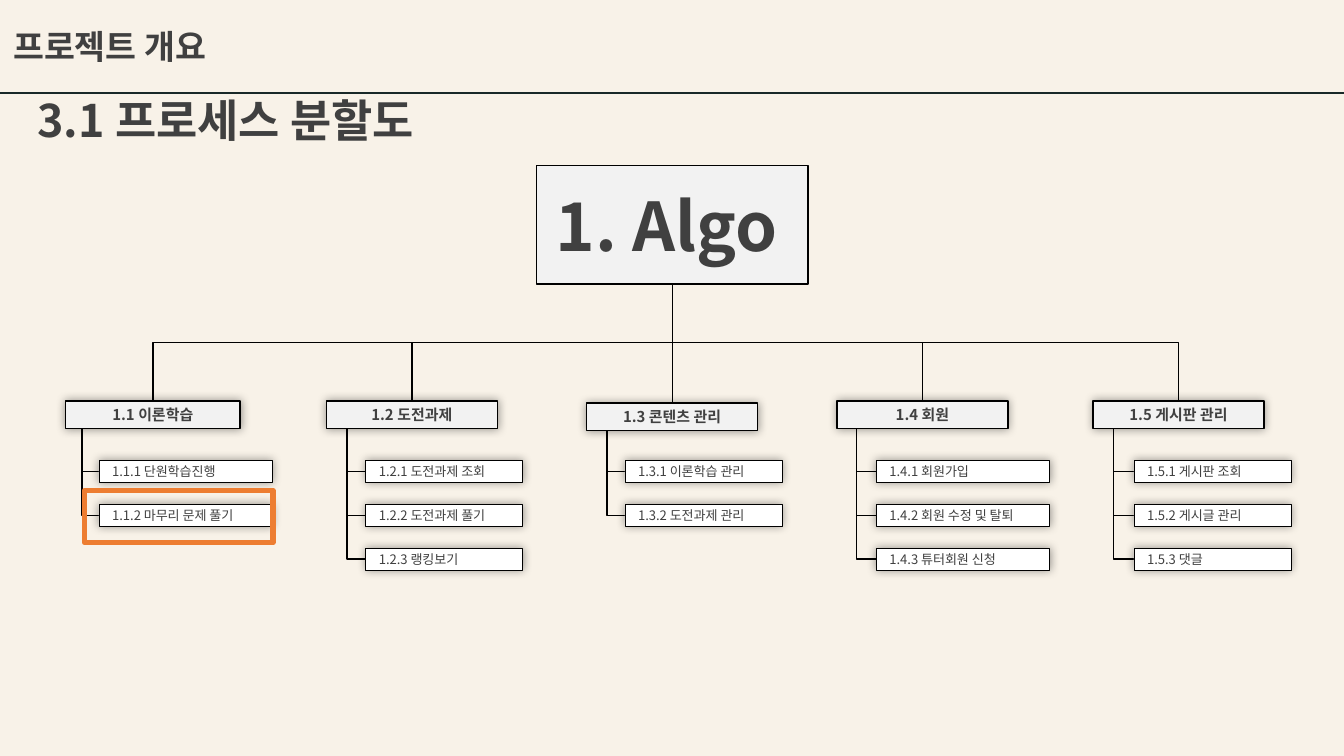
from lxml.etree import SubElement
from pptx import Presentation
from pptx.dml.color import RGBColor
from pptx.enum.shapes import MSO_CONNECTOR, MSO_SHAPE
from pptx.enum.text import MSO_ANCHOR, PP_ALIGN
from pptx.oxml.ns import qn
from pptx.util import Cm, Pt

INK, CREAM, GREY, WHITE, BLACK = "404040", "F8F2E8", "F2F2F2", "FFFFFF", "000000"
ROOT = (10.14, 3.13, 5.13, 2.24)
HEADING_HEIGHT, TASK_TOP, TASK_HEIGHT, TASK_PITCH = 0.52, 8.7, 0.42, 0.83
BRANCHES = [
    ("1.1 이론학습", (1.24, 7.58, 3.3), 1.55, (1.87, 3.28),
     ["1.1.1 단원학습진행", "1.1.2 마무리 문제 풀기"]),
    ("1.2 도전과제", (6.17, 7.58, 3.23), 6.56, (6.91, 2.97),
     ["1.2.1 도전과제 조회", "1.2.2 도전과제 풀기", "1.2.3 랭킹보기"]),
    ("1.3 콘텐츠 관리", (11.09, 7.62, 3.23), 11.47, (11.81, 2.97),
     ["1.3.1 이론학습 관리", "1.3.2 도전과제 관리"]),
    ("1.4 회원", (15.82, 7.58, 3.23), 16.19, (16.56, 3.28),
     ["1.4.1 회원가입", "1.4.2 회원 수정 및 탈퇴", "1.4.3 튜터회원 신청"]),
    ("1.5 게시판 관리", (20.66, 7.58, 3.23), 21.04, (21.43, 2.97),
     ["1.5.1 게시판 조회", "1.5.2 게시글 관리", "1.5.3 댓글"]),
]


def color(value):
    return RGBColor.from_string(value)


class ProcessChart:
    """Draws the parts of a process breakdown on one slide in one style."""

    font_name = "Noto Sans CJK KR"

    def __init__(self, slide):
        self.slide = slide
        slide.background.fill.solid()
        slide.background.fill.fore_color.rgb = color(CREAM)

    def wording(self, frame, words, size, bold=False, align=PP_ALIGN.LEFT, **layout):
        for key, value in layout.items():
            setattr(frame, key, value)
        paragraph = frame.paragraphs[0]
        paragraph.alignment = align
        run = paragraph.add_run()
        run.text = words
        for key, value in {"name": self.font_name, "size": Pt(size), "bold": bold}.items():
            setattr(run.font, key, value)
        run.font.color.rgb = color(INK)
        SubElement(run.font._element, qn("a:ea"), typeface=self.font_name)

    def box(self, place, fill=None, line=None, width=0.75, glow=False):
        box = self.slide.shapes.add_shape(MSO_SHAPE.RECTANGLE, *map(Cm, place))
        box.shadow.inherit = False
        if fill:
            box.fill.solid()
            box.fill.fore_color.rgb = color(fill)
        else:
            box.fill.background()
        if line:
            box.line.color.rgb = color(line)
            box.line.width = Pt(width)
        else:
            box.line.fill.background()
        if glow:
            effects = box._element.spPr.find(qn("a:effectLst"))
            shadow = SubElement(effects, qn("a:outerShdw"), blurRad=str(Pt(5)),
                                dist="0", dir="0", algn="ctr", rotWithShape="0")
            black = SubElement(shadow, qn("a:srgbClr"), val=BLACK)
            SubElement(black, qn("a:alpha"), val="40000")
        return box

    def label(self, place, words, size, line_width=0.75, fill=GREY, glow=True, **style):
        box = self.box(place, fill, BLACK, line_width, glow)
        self.wording(box.text_frame, words, size, word_wrap=True,
                     vertical_anchor=MSO_ANCHOR.MIDDLE, **style)

    def title(self, place, words, size):
        frame = self.slide.shapes.add_textbox(*map(Cm, place)).text_frame
        self.wording(frame, words, size, bold=True, word_wrap=False)

    def line(self, kind, start, end, stroke=BLACK, width=0.75):
        line = self.slide.shapes.add_connector(kind, *map(Cm, start + end))
        line.line.color.rgb = color(stroke)
        line.line.width = Pt(width)
        SubElement(line._element.spPr, qn("a:effectLst"))
        return line

    def elbow(self, start, end, preset):
        (x1, y1), (x2, y2) = start, end
        middle_x, middle_y = (x1 + x2) / 2, (y1 + y2) / 2
        reach, drop = abs(x2 - x1) / 2, (y2 - y1) / 2
        side = 1 if x2 > x1 else -1
        elbow = self.line(MSO_CONNECTOR.ELBOW,
                          (middle_x + side * drop, middle_y - reach),
                          (middle_x - side * drop, middle_y + reach))
        properties = elbow._element.spPr
        properties.find(qn("a:xfrm")).set("rot", "16200000" if side > 0 else "5400000")
        properties.find(qn("a:prstGeom")).set("prst", preset)

    def branch(self, heading, heading_place, trunk, task_place, tasks):
        left, top, width = heading_place
        task_left, task_width = task_place
        root_left, root_top, root_width, root_height = ROOT
        self.elbow((root_left + root_width / 2, root_top + root_height),
                   (left + width / 2, top), "bentConnector3")
        for row, task in enumerate(tasks):
            task_top = TASK_TOP + row * TASK_PITCH
            self.elbow((trunk, top + HEADING_HEIGHT),
                       (task_left, task_top + TASK_HEIGHT / 2), "bentConnector2")
            self.label((task_left, task_top, task_width, TASK_HEIGHT), task, 7,
                       line_width=0.25, fill=WHITE)
        self.label((left, top, width, HEADING_HEIGHT), heading, 8,
                   bold=True, align=PP_ALIGN.CENTER)


def main():
    deck = Presentation()
    deck.slide_width, deck.slide_height = Cm(25.4), Cm(14.29)
    chart = ProcessChart(deck.slides.add_slide(deck.slide_layouts[6]))
    chart.label(ROOT, "1. Algo", 36, glow=False, bold=True,
                align=PP_ALIGN.CENTER, margin_right=Cm(0.45))
    for branch in BRANCHES:
        chart.branch(*branch)
    chart.title((0.46, 1.63, 7.9, 1.27), "3.1 프로세스 분할도", 24)
    chart.box((1.6, 9.27, 3.56, 0.99), line="ED7D31", width=3)
    header = chart.box((0, 0, 25.4, 1.75), CREAM)
    chart.wording(header.text_frame, "프로젝트 개요", 18, bold=True,
                  vertical_anchor=MSO_ANCHOR.MIDDLE)
    chart.line(MSO_CONNECTOR.STRAIGHT, (0, 1.75), (25.4, 1.75), "192928", 1)
    deck.save("out.pptx")


if __name__ == "__main__":
    main()
